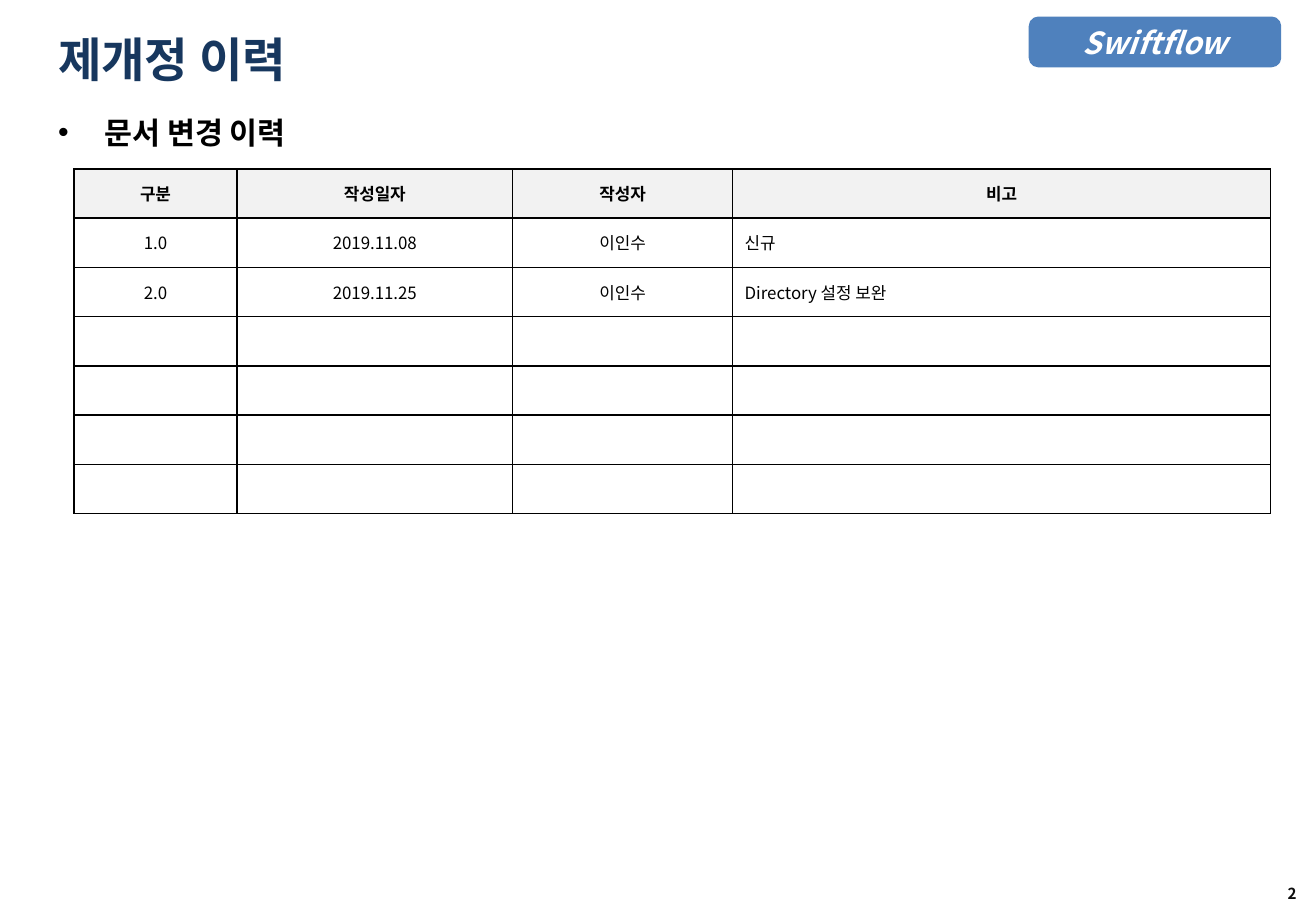
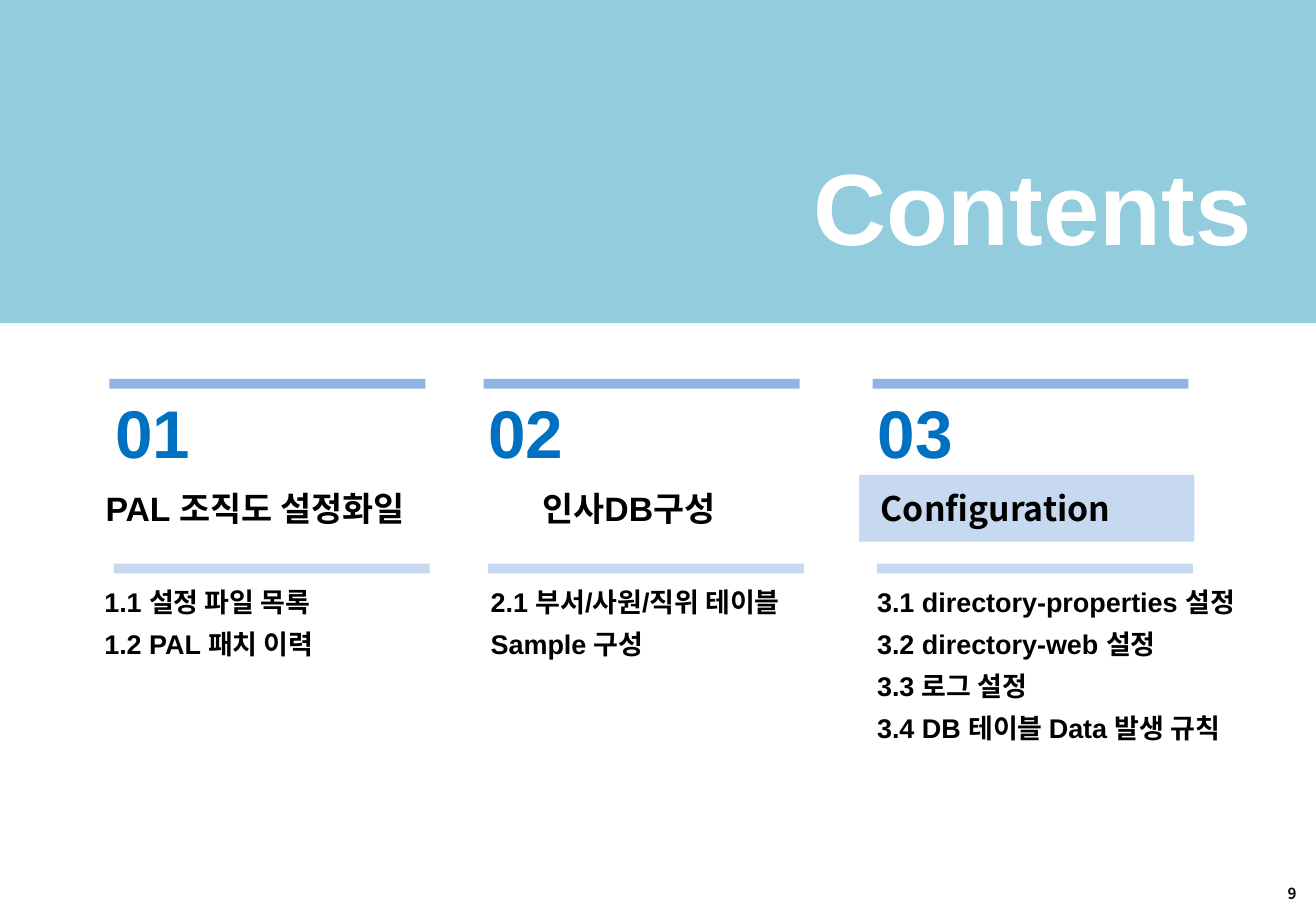
from lxml.etree import SubElement
from pptx import Presentation
from pptx.dml.color import RGBColor
from pptx.enum.shapes import MSO_SHAPE as Shape
from pptx.enum.text import MSO_ANCHOR as Anchor, PP_ALIGN as Align
from pptx.oxml import parse_xml
from pptx.oxml.ns import nsdecls, qn
from pptx.util import Inches, Pt

COLORS = {
    "black": "000000", "white": "FFFFFF", "title": "17375E", "page": "0D0D0D",
    "badge": "4F81BD", "band": "93CDDD", "bar": "8EB4E3", "pale": "C6D9F1",
    "number": "0070C0", "header": "F2F2F2",
}
SANS, ARIAL = "Noto Sans CJK KR", "Arial"
STYLES = {
    "title": {"size": 28, "name": SANS, "color": "title"},
    "lead": {"size": 18, "name": SANS},
    "badge": {"size": 18, "name": SANS, "color": "white", "italic": True},
    "page": {"size": 9, "name": SANS, "color": "page"},
    "head": {"size": 10, "name": SANS},
    "cell": {"size": 10, "name": SANS, "bold": False},
    "cover": {"size": 60, "color": "white"},
    "number": {"size": 40, "color": "number"},
    "section": {"size": 20},
    "strong": {"size": 20, "name": SANS},
    "item": {"size": 16},
}
BASE = {"name": ARIAL, "bold": True, "color": "black"}


def rgb(key):
    """Return the named colour."""
    return RGBColor.from_string(COLORS[key])


class Deck:
    """Holds the presentation, its current slide and its style.

    Lengths are percent shares of the slide's width and height.
    """

    def __init__(self, width, height):
        """Start an empty presentation of the given size in inches."""
        self.prs = Presentation()
        self.prs.slide_width = Inches(width)
        self.prs.slide_height = Inches(height)

    def x(self, share):
        """Turn a share of the width into a length."""
        return int(self.prs.slide_width * share / 100)

    def y(self, share):
        """Turn a share of the height into a length."""
        return int(self.prs.slide_height * share / 100)

    def box(self, x, y, w, h):
        """Turn four shares into a position and size."""
        return self.x(x), self.y(y), self.x(w), self.y(h)

    def new_slide(self, number):
        """Add a blank slide with its page number."""
        self.s = self.prs.slides.add_slide(self.prs.slide_layouts[6])
        tf = self.text((76.27, 95.33, 23.36, 5.47), [str(number)], "page", Align.RIGHT)
        for side, inset in {"left": 0.12, "right": 0.12, "top": 0.06, "bottom": 0.06}.items():
            setattr(tf, f"margin_{side}", Inches(inset))

    def add_text(self, p, text, style, align=Align.LEFT):
        """Put one formatted run into a paragraph."""
        p.alignment = align
        r = p.add_run()
        r.text = text
        values = {**BASE, **STYLES[style]}
        r.font.color.rgb = rgb(values.pop("color"))
        values["size"] = Pt(values["size"])
        for key, value in values.items():
            setattr(r.font, key, value)
        SubElement(r.font._element, qn("a:ea")).set("typeface", SANS)

    def text(self, area, lines, style, align=Align.LEFT, anchor=Anchor.MIDDLE, spacing=None):
        """Add a text box with one paragraph per line."""
        tf = self.s.shapes.add_textbox(*self.box(*area)).text_frame
        tf.word_wrap = True
        tf.vertical_anchor = anchor
        for i, line in enumerate(lines):
            p = tf.add_paragraph() if i else tf.paragraphs[0]
            self.add_text(p, line, style, align)
            if spacing:
                p.line_spacing = spacing
        return tf

    def bullet(self, area, line):
        """Add a bulleted lead line."""
        p = self.text(area, [line], "lead", anchor=Anchor.TOP, spacing=1.1).paragraphs[0]
        p.space_before = Pt(5.4)
        pPr = p._p.get_or_add_pPr()
        indent = Inches(0.38)
        pPr.set("marL", str(indent))
        pPr.set("indent", str(-indent))
        SubElement(pPr, qn("a:buFont")).set("typeface", ARIAL)
        SubElement(pPr, qn("a:buChar")).set("char", "•")

    def block(self, area, fill, kind=Shape.RECTANGLE):
        """Add a filled shape without outline."""
        sp = self.s.shapes.add_shape(kind, *self.box(*area))
        sp.shadow.inherit = False
        sp.fill.solid()
        sp.fill.fore_color.rgb = rgb(fill)
        sp.line.fill.background()
        return sp

    def badge(self, area, label):
        """Add the rounded name badge."""
        sp = self.block(area, "badge", Shape.ROUNDED_RECTANGLE)
        sp.line.color.rgb = rgb("badge")
        sp.line.width = Pt(2)
        sp.text_frame.vertical_anchor = Anchor.MIDDLE
        self.add_text(sp.text_frame.paragraphs[0], label, "badge", Align.CENTER)

    def border(self, cell):
        """Draw a thin black line on all sides of a cell."""
        tcPr = cell._tc.get_or_add_tcPr()
        for i, side in enumerate("LRTB"):
            tcPr.insert(i, parse_xml(
                f'<a:ln{side} w="{Pt(1)}" {nsdecls("a")}><a:solidFill>'
                f'<a:srgbClr val="{COLORS["black"]}"/></a:solidFill></a:ln{side}>'))

    def table(self, x, y, widths, row_height, rows):
        """Add a bordered table whose last column is left-aligned below the header."""
        area = self.box(x, y, sum(widths), row_height * len(rows))
        tbl = self.s.shapes.add_table(len(rows), len(widths), *area).table
        for col, width in zip(tbl.columns, widths):
            col.width = self.x(width)
        for i, row in enumerate(rows):
            tbl.rows[i].height = self.y(row_height)
            for j, value in enumerate(row):
                cell = tbl.cell(i, j)
                cell.vertical_anchor = Anchor.MIDDLE
                cell.fill.solid()
                cell.fill.fore_color.rgb = rgb("white" if i else "header")
                remark = i > 0 and j == len(widths) - 1
                self.add_text(cell.text_frame.paragraphs[0], value, "cell" if i else "head",
                              Align.LEFT if remark else Align.CENTER)
                self.border(cell)


def history(deck):
    """Build the revision history slide."""
    deck.new_slide(2)
    deck.badge((78.3, 2, 18.93, 5.2), "Swiftflow")
    deck.text((3.51, 2.8, 90.03, 7.33), ["제개정 이력"], "title")
    deck.bullet((3.51, 11.47, 91.5, 6), "문서 변경 이력")
    rows = [
        ["구분", "작성일자", "작성자", "비고"],
        ["1.0", "2019.11.08", "이인수", "신규"],
        ["2.0", "2019.11.25", "이인수", "Directory 설정 보완"],
    ] + [[""] * 4] * 4
    deck.table(5.63, 18.53, [12.37, 20.96, 16.71, 40.9], 5.41, rows)


def contents(deck):
    """Build the contents slide with its three sections."""
    deck.new_slide(9)
    deck.block((65.28, 52.13, 25.48, 7.33), "pale")
    deck.block((0, 0, 100, 35.47), "band")
    deck.text((6, 18.8, 90.03, 7.33), ["Contents"], "cover", Align.RIGHT)
    # Each section: bar left, (number left, align), (heading left, width, align, style, text),
    # (items left, width, lines)
    sections = [
        (8.31, (7.85, Align.LEFT),
         (7.11, 26.87, Align.LEFT, "section", "PAL 조직도 설정화일"),
         (7.02, 24.56, ["1.1 설정 파일 목록", "1.2 PAL 패치 이력"])),
        (36.75, (36.2, Align.LEFT),
         (33.98, 27.61, Align.CENTER, "section", "인사DB구성"),
         (36.38, 27.52, ["2.1 부서/사원/직위 테이블", "Sample 구성"])),
        (66.3, (62.42, Align.RIGHT),
         (66.02, 26.87, Align.LEFT, "strong", "Configuration"),
         (65.74, 31.49, ["3.1 directory-properties 설정", "3.2 directory-web 설정",
                         "3.3 로그 설정", "3.4 DB 테이블 Data 발생 규칙"])),
    ]
    for i, (bar, number, heading, items) in enumerate(sections, 1):
        deck.block((bar, 41.6, 24.01, 1.07), "bar")
        deck.block((bar + 0.33, 61.87, 24.01, 1.07), "pale")
        left, align = number
        deck.text((left, 43.73, 10.9, 7.33), [f"{i:02}"], "number", align)
        left, width, align, style, label = heading
        deck.text((left, 52.13, width, 7.33), [label], style, align)
        left, width, lines = items
        deck.text((left, 62.53, width, 25.2), lines, "item", anchor=Anchor.TOP, spacing=1.3)


deck = Deck(10.83, 7.5)
history(deck)
contents(deck)
deck.prs.save("out.pptx")
